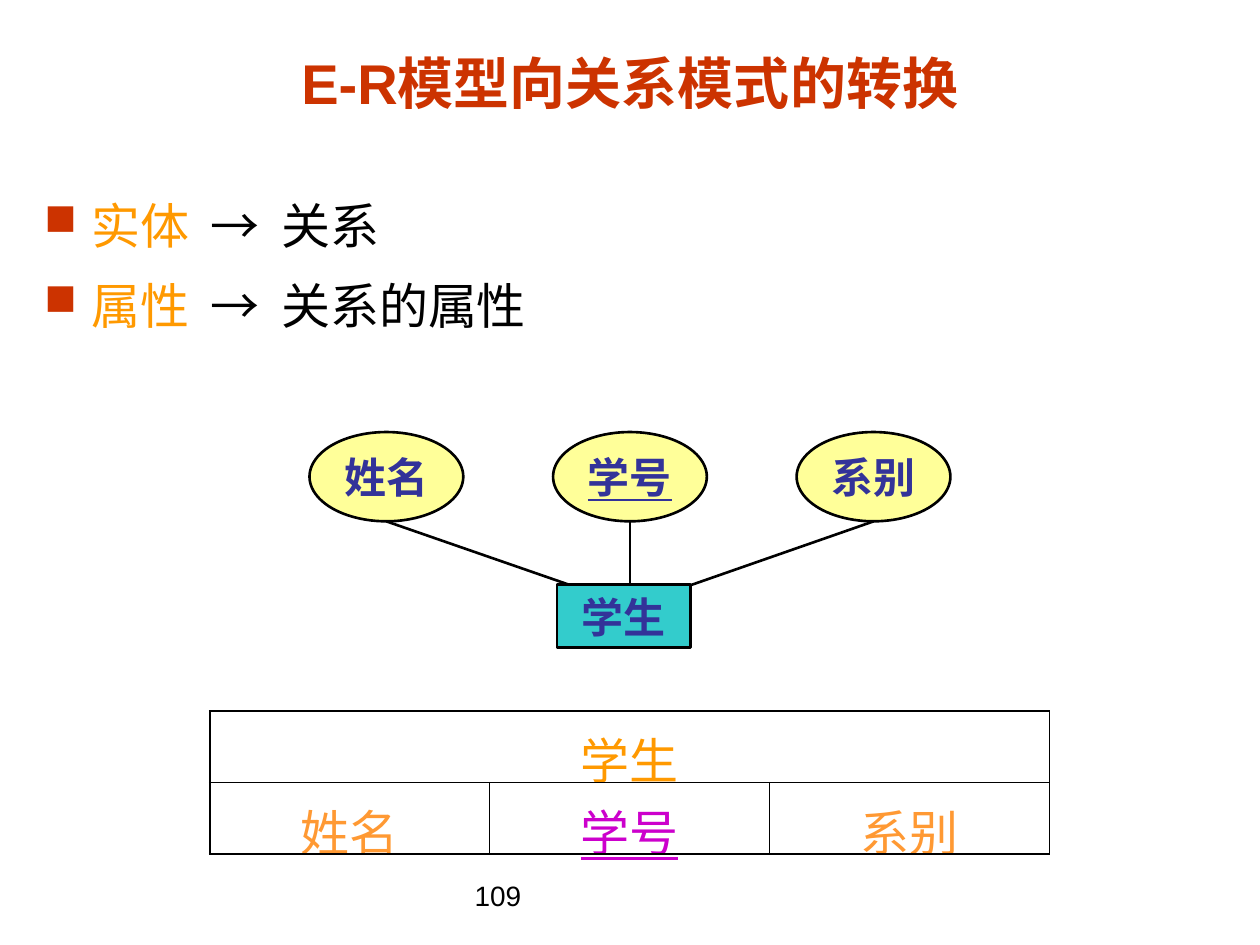
from lxml import etree
from pptx import Presentation
from pptx.dml.color import RGBColor
from pptx.enum import shapes, text
from pptx.oxml import ns
from pptx.util import Cm, Pt

RED = RGBColor(0xCC, 0x33, 0x00)
ORANGE = RGBColor(0xFF, 0x99, 0x00)
LIGHT_ORANGE = RGBColor(0xFF, 0x99, 0x33)
MAGENTA = RGBColor(0xCC, 0x00, 0xCC)
INDIGO = RGBColor(0x33, 0x33, 0x99)
TEAL = RGBColor(0x33, 0xCC, 0xCC)
YELLOW = RGBColor(0xFF, 0xFF, 0x99)
BLACK = RGBColor(0, 0, 0)

ATTRIBUTES = ["姓名", "学号", "系别"]
KEY = "学号"
ENTITY = "学生"
THICK, THIN = Pt(1.08), Pt(0.45)


def add_run(paragraph, content, size, font, color, bold=False, underline=False):
    run = paragraph.add_run()
    run.text = content
    run.font.size = Pt(size)
    run.font.name = font
    run.font.color.rgb = color
    run.font.bold = bold
    run.font.underline = underline


def add_text_box(slide, left, top, width, height):
    frame = slide.shapes.add_textbox(Cm(left), Cm(top), Cm(width), Cm(height)).text_frame
    frame.word_wrap = True
    return frame


def add_bullet(paragraph, tab_stops):
    """Hanging square bullet, with tab stops that line up the mapping columns."""
    properties = paragraph._p.get_or_add_pPr()
    properties.set("marL", str(Cm(0.96)))
    properties.set("indent", str(-Cm(0.96)))
    color = etree.SubElement(properties, ns.qn("a:buClr"))
    etree.SubElement(color, ns.qn("a:srgbClr"), val=str(RED))
    etree.SubElement(properties, ns.qn("a:buSzPct"), val="90000")
    etree.SubElement(properties, ns.qn("a:buChar"), char="■")
    tabs = etree.SubElement(properties, ns.qn("a:tabLst"))
    for stop in tab_stops:
        etree.SubElement(tabs, ns.qn("a:tab"), pos=str(Cm(stop)), algn="l")


def add_node(slide, kind, left, top, width, height, fill, label):
    shape = slide.shapes.add_shape(kind, Cm(left), Cm(top), Cm(width), Cm(height))
    shape.shadow.inherit = False
    shape.fill.solid()
    shape.fill.fore_color.rgb = fill
    shape.line.color.rgb = BLACK
    shape.line.width = Pt(1.5)
    frame = shape.text_frame
    frame.word_wrap = False
    frame.vertical_anchor = text.MSO_ANCHOR.MIDDLE
    paragraph = frame.paragraphs[0]
    paragraph.alignment = text.PP_ALIGN.CENTER
    add_run(paragraph, label, 24, "Times New Roman", INDIGO, True, label == KEY)


def add_line(slide, start, end):
    line = slide.shapes.add_connector(
        shapes.MSO_CONNECTOR.STRAIGHT, *(Cm(value) for value in start + end))
    line.line.color.rgb = BLACK
    line.line.width = Pt(1.5)
    etree.SubElement(line._element.spPr, ns.qn("a:effectLst"))


def set_borders(cell, **widths):
    properties = cell._tc.get_or_add_tcPr()
    for position, side in enumerate("LRTB"):
        border = etree.Element(ns.qn("a:ln" + side), w=str(widths[side]))
        fill = etree.SubElement(border, ns.qn("a:solidFill"))
        etree.SubElement(fill, ns.qn("a:srgbClr"), val=str(BLACK))
        properties.insert(position, border)


def add_relation_table(slide):
    columns = len(ATTRIBUTES)
    table = slide.shapes.add_table(
        2, columns, Cm(4.23), Cm(14.33), Cm(16.93), Cm(2.88)).table
    rows = [[(ENTITY, ORANGE)],
            [(name, MAGENTA if name == KEY else LIGHT_ORANGE) for name in ATTRIBUTES]]
    table.cell(0, 0).merge(table.cell(0, columns - 1))
    for row in range(2):
        for column in range(columns):
            cell = table.cell(row, column)
            cell.fill.background()
            inner_left = row == 1 and column > 0
            inner_right = row == 1 and column < columns - 1
            set_borders(cell,
                        L=THIN if inner_left else THICK,
                        R=THIN if inner_right else THICK,
                        T=THIN if row else THICK,
                        B=THICK if row else THIN)
            if cell.is_spanned:
                continue
            cell.margin_top, cell.margin_bottom = Cm(0.25), 0
            label, color = rows[row][column]
            paragraph = cell.text_frame.paragraphs[0]
            paragraph.alignment = text.PP_ALIGN.CENTER
            add_run(paragraph, label, 28, "Cabin", color, underline=label == KEY)


def add_er_diagram(slide):
    center, spacing = 12.7, 4.91
    oval_top, oval_width, oval_height = 8.71, 3.1, 1.8
    oval_bottom, entity_top = oval_top + oval_height, 11.79
    add_node(slide, shapes.MSO_SHAPE.RECTANGLE, 11.23, entity_top, 2.69, 1.27, TEAL, ENTITY)
    line_ends = [11.48, center, 13.94]
    for index, (name, line_end) in enumerate(zip(ATTRIBUTES, line_ends)):
        middle = center + (index - 1) * spacing
        add_node(slide, shapes.MSO_SHAPE.OVAL, middle - oval_width / 2, oval_top,
                 oval_width, oval_height, YELLOW, name)
        add_line(slide, (middle, oval_bottom), (line_end, entity_top))


def main():
    presentation = Presentation()
    presentation.slide_width, presentation.slide_height = Cm(25.4), Cm(19.05)
    slide = presentation.slides.add_slide(presentation.slide_layouts[6])

    # Title
    frame = add_text_box(slide, 1.9, 0.58, 21.6, 1.88)
    frame.vertical_anchor = text.MSO_ANCHOR.BOTTOM
    frame.paragraphs[0].alignment = text.PP_ALIGN.CENTER
    add_run(frame.paragraphs[0], "E-R模型向关系模式的转换", 32, "Arial", RED, True)

    # Mapping rules
    frame = add_text_box(slide, 0.64, 3.81, 23.93, 3.38)
    for index, (source, target) in enumerate([("实体", "关系"), ("属性", "关系的属性")]):
        paragraph = frame.add_paragraph() if index else frame.paragraphs[0]
        add_bullet(paragraph, (3.35, 4.78))
        if index:
            paragraph.space_before = Pt(12.2)
        add_run(paragraph, source + "\t", 28, "Arial", ORANGE)
        add_run(paragraph, "→\t" + target, 28, "Arial", BLACK)

    # Entity with its attributes, and the relation it becomes
    add_er_diagram(slide)
    add_relation_table(slide)

    # Page number
    frame = add_text_box(slide, 9.32, 17.58, 8.05, 1.27)
    add_run(frame.paragraphs[0], "109", 16, "Arial", BLACK)

    presentation.save("out.pptx")


if __name__ == "__main__":
    main()
